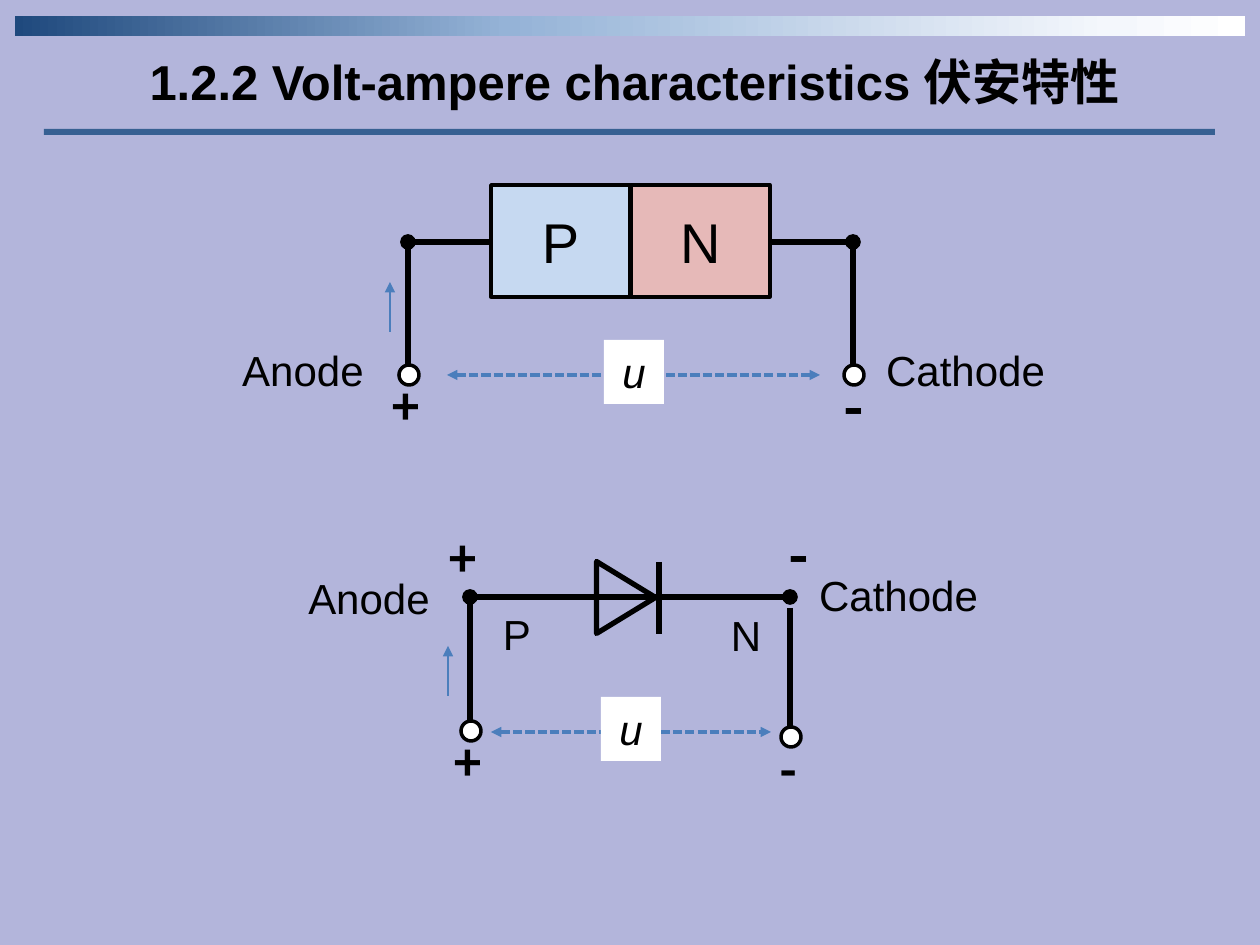
"""Build the slide on the volt-ampere characteristics of a PN junction diode."""
import dataclasses

import lxml.etree
import pptx
import pptx.dml.color
import pptx.enum.dml
import pptx.enum.shapes
import pptx.enum.text
import pptx.oxml.ns
import pptx.util

PX = 914400 / 126
RGB = pptx.dml.color.RGBColor.from_string
SHAPE = pptx.enum.shapes.MSO_SHAPE
ANCHOR = pptx.enum.text.MSO_ANCHOR
qn = pptx.oxml.ns.qn


@dataclasses.dataclass(frozen=True)
class Theme:
    background: str = "B3B5DB"
    ink: str = "000000"
    paper: str = "FFFFFF"
    rule: str = "376092"
    arrow: str = "4B7EBC"
    p_region: str = "C6D9F1"
    n_region: str = "E6B9B8"
    banner: tuple = ((0, "1F497D"), (40, "95B3D7"), (89, "F4F7FC"), (100, "FFFFFF"))
    latin: str = "Arial"
    cjk: str = "Noto Sans CJK SC"
    label: int = 24
    heading: int = 28
    region: int = 32


theme = Theme()


def write(owner, text, size, anchor=ANCHOR.TOP, **font_extras):
    frame = owner.text_frame
    frame_format = {"word_wrap": True, "vertical_anchor": anchor,
                    "auto_size": pptx.enum.text.MSO_AUTO_SIZE.NONE}
    for key, value in frame_format.items():
        setattr(frame, key, value)
    paragraph = frame.paragraphs[0]
    paragraph.alignment = pptx.enum.text.PP_ALIGN.CENTER
    run = paragraph.add_run()
    run.text = text
    run.font.color.rgb = RGB(theme.ink)
    font_format = {"name": theme.latin, "size": pptx.util.Pt(size), **font_extras}
    for key, value in font_format.items():
        setattr(run.font, key, value)
    return run


def wire(start, end, color=theme.ink, width=3, dash=None, head=None, tail=None):
    ends = [round(value * PX) for value in (*start, *end)]
    link = slide.shapes.add_connector(pptx.enum.shapes.MSO_CONNECTOR.STRAIGHT, *ends)
    link.line.color.rgb = RGB(color)
    link.line.width = pptx.util.Pt(width)
    if dash:
        link.line.dash_style = dash
    properties = link._element.spPr
    for tag, ending in (("a:headEnd", head), ("a:tailEnd", tail)):
        if ending:
            lxml.etree.SubElement(properties.find(qn("a:ln")), qn(tag), type=ending)
    lxml.etree.SubElement(properties, qn("a:effectLst"))


deck = pptx.Presentation()
deck.slide_width, deck.slide_height = round(1260 * PX), round(945 * PX)
slide = deck.slides.add_slide(deck.slide_layouts[5])
slide.background.fill.solid()
slide.background.fill.fore_color.rgb = RGB(theme.background)

title = slide.shapes.title
title_box = {"left": 44, "top": 45, "width": 1181, "height": 72}
for key, value in title_box.items():
    setattr(title, key, round(value * PX))
heading = write(title, "1.2.2 Volt-ampere characteristics 伏安特性", theme.heading, bold=True)
lxml.etree.SubElement(heading.font._element, qn("a:ea"), typeface=theme.cjk)

leads = [
    ((491, 242), (408, 242), None, "oval"),
    ((771, 242), (853, 242), None, "oval"),
    ((408, 247), (408, 365), None, None),
    ((853, 247), (853, 365), None, None),
    ((659, 562), (659, 634), None, None),
    ((470, 597), (790, 597), "oval", "oval"),
    ((470, 602), (470, 722), None, None),
    ((790, 608), (790, 727), None, None),
]
for start, end, head, tail in leads:
    wire(start, end, head=head, tail=tail)

for left, right, y in ((447, 820, 375), (491, 771, 732)):
    wire((left, y), (right, y), theme.arrow, 1.75,
         pptx.enum.dml.MSO_LINE.SQUARE_DOT, "triangle", "triangle")
for x, bottom in ((390, 332), (448, 696)):
    wire((x, bottom), (x, bottom - 50), theme.arrow, 0.75, tail="triangle")

terminals = [(SHAPE.OVAL, (x, y, 20, 20), theme.paper, 2, None)
             for x, y in ((399, 365), (844, 365), (461, 721), (781, 727))]
parts = [
    (SHAPE.RECTANGLE, (15, 16, 1230, 20), theme.banner, 0, None),
    (SHAPE.RECTANGLE, (44, 129, 1171, 6), theme.rule, 0, None),
    (SHAPE.RECTANGLE, (491, 185, 139, 112), theme.p_region, 2, "P"),
    (SHAPE.RECTANGLE, (631, 185, 139, 112), theme.n_region, 2, "N"),
    (SHAPE.ISOSCELES_TRIANGLE, (590, 568, 72, 59), None, 3, None),
    *terminals,
]
for kind, box, fill, outline, region in parts:
    part = slide.shapes.add_shape(kind, *(round(value * PX) for value in box))
    part.shadow.inherit = False
    if fill is None:
        part.fill.background()
    elif fill is theme.banner:
        part.fill.gradient()
        part.fill.gradient_angle = 0
        stops = part._element.spPr.find(".//" + qn("a:gsLst"))
        stops[:] = []
        for position, color in fill:
            stop = lxml.etree.SubElement(stops, qn("a:gs"), pos=str(position * 1000))
            lxml.etree.SubElement(stop, qn("a:srgbClr"), val=color)
    else:
        part.fill.solid()
        part.fill.fore_color.rgb = RGB(fill)
    if outline:
        part.line.color.rgb = RGB(theme.ink)
        part.line.width = pptx.util.Pt(outline)
    else:
        part.line.fill.background()
    if kind == SHAPE.ISOSCELES_TRIANGLE:
        part.rotation = 90
    if region:
        write(part, region, theme.region, ANCHOR.MIDDLE)

sign = {"name": theme.cjk, "bold": True}
voltage = {"italic": True}
labels = [
    ("+", (368, 370, 76, 72), theme.heading, sign),
    ("-", (816, 365, 76, 81), theme.region, sign),
    ("Anode", (197, 338, 212, 63), theme.label, {}),
    ("Cathode", (829, 338, 273, 63), theme.label, {}),
    ("u", (604, 340, 60, 64), theme.label, voltage),
    ("+", (425, 522, 76, 72), theme.heading, sign),
    ("-", (761, 513, 76, 81), theme.region, sign),
    ("Anode", (263, 566, 212, 63), theme.label, {}),
    ("Cathode", (762, 563, 273, 63), theme.label, {}),
    ("P", (411, 602, 212, 63), theme.label, {}),
    ("N", (640, 603, 212, 63), theme.label, {}),
    ("+", (430, 726, 76, 72), theme.heading, sign),
    ("-", (751, 732, 76, 72), theme.heading, sign),
    ("u", (601, 697, 60, 64), theme.label, voltage),
]
for text, box, size, extras in labels:
    label = slide.shapes.add_textbox(*(round(value * PX) for value in box))
    write(label, text, size, **extras)
    if extras is voltage:
        label.fill.solid()
        label.fill.fore_color.rgb = RGB(theme.paper)

deck.save("out.pptx")
